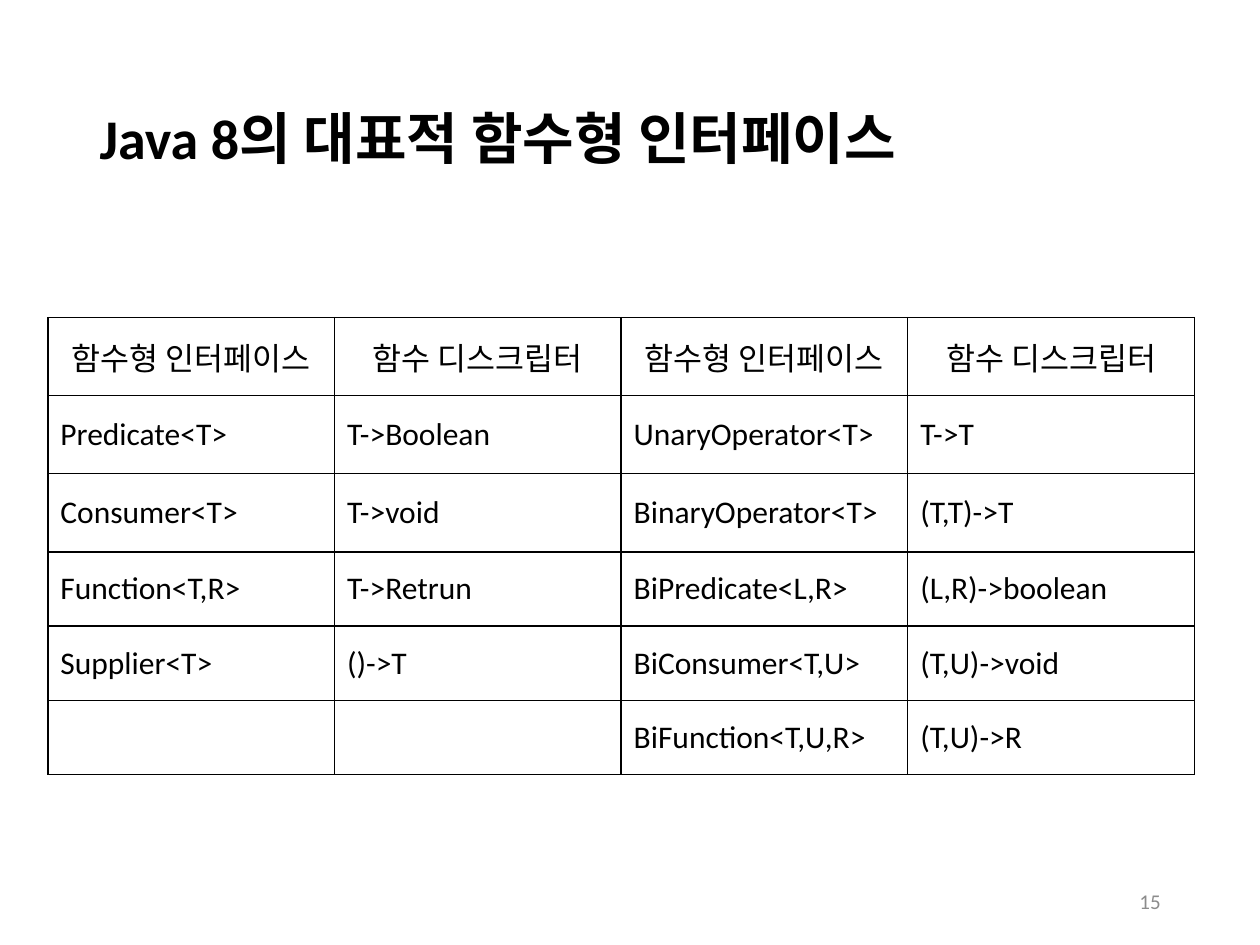
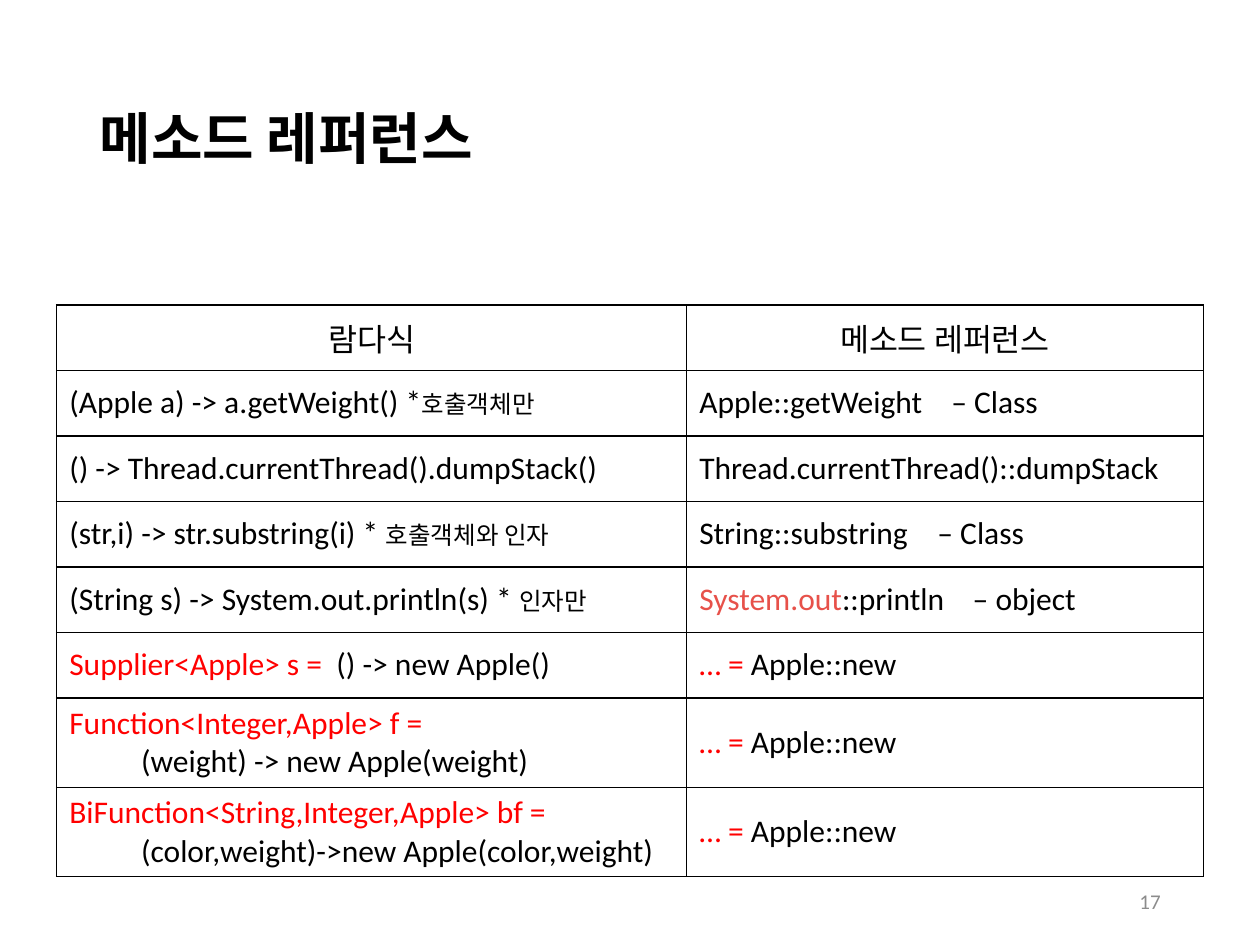
from dataclasses import dataclass, field

from lxml import etree
from pptx import Presentation, util as u
from pptx.dml.color import RGBColor
from pptx.enum import text
from pptx.oxml.ns import qn

COLORS = {
    "paper": "FFFFFF",
    "ink": "000000",
    "page": "8C8C8C",
    "accent": "FF0000",
    "object": "E7514A",
}
FONT = "Calibri"
FORMATS = {
    "title": {"size": u.Pt(32), "bold": True},
    "body": {"size": u.Pt(18), "bold": False},
    "note": {"size": u.Pt(14), "bold": False},
    "page": {"size": u.Pt(12), "bold": False},
}
ALIGN = text.PP_ALIGN
MIDDLE = text.MSO_ANCHOR.MIDDLE


@dataclass
class Run:
    words: str
    color: str = "ink"
    style: str = "body"


@dataclass
class Line:
    runs: list
    indent: float = 0
    tab: float = 0


@dataclass
class Cell:
    lines: list = field(default_factory=list)


def set_all(target, values):
    for name, value in values.items():
        setattr(target, name, value)


def box(left, top, width, height):
    return dict(zip(("left", "top", "width", "height"),
                    map(u.Inches, (left, top, width, height))))


def line(*runs, **options):
    return Line([Run(r) if isinstance(r, str) else r for r in runs], **options)


def as_cell(content):
    if isinstance(content, Cell):
        return content
    if isinstance(content, Line):
        return Cell([content])
    return Cell([line(content)] if content else [])


class Deck:
    def __init__(self):
        self.prs = Presentation()
        set_all(self.prs, {"slide_width": u.Inches(10), "slide_height": u.Inches(7.5)})
        self.slide = None

    def add_slide(self, title, page):
        self.slide = self.prs.slides.add_slide(self.prs.slide_layouts[5])
        self.add_title(title)
        self.add_page_number(page)

    def add_line(self, paragraph, content, align=ALIGN.LEFT):
        paragraph.alignment = align
        for part in content.runs:
            run = paragraph.add_run()
            run.text = part.words
            set_all(run.font, {"name": FONT, **FORMATS[part.style]})
            run.font.color.rgb = RGBColor.from_string(COLORS[part.color])
        props = paragraph._p.get_or_add_pPr()
        if content.indent:
            props.set("marL", str(u.Inches(content.indent)))
        if content.tab:
            stops = etree.SubElement(props, qn("a:tabLst"))
            etree.SubElement(stops, qn("a:tab"), pos=str(u.Inches(content.tab)), algn="l")

    def add_title(self, words):
        title = self.slide.shapes.title
        set_all(title, box(0.69, 0.4, 8.62, 1.45))
        set_all(title.text_frame, {"vertical_anchor": MIDDLE, "word_wrap": True,
                                   "auto_size": text.MSO_AUTO_SIZE.NONE})
        paragraph = title.text_frame.paragraphs[0]
        paragraph.line_spacing = 0.9
        self.add_line(paragraph, line(Run(words, style="title")))

    def add_page_number(self, page):
        number = self.slide.shapes.add_textbox(**box(7.06, 6.95, 2.25, 0.4))
        set_all(number.text_frame, {"vertical_anchor": MIDDLE, "word_wrap": True})
        self.add_line(number.text_frame.paragraphs[0],
                      line(Run(str(page), "page", "page")), ALIGN.RIGHT)

    def add_table(self, left, top, widths, heights, rows):
        frame = self.slide.shapes.add_table(
            len(heights), len(widths), **box(left, top, sum(widths), sum(heights)))
        table = frame.table
        set_all(table, {"first_row": False, "horz_banding": False})
        for column, width in zip(table.columns, widths):
            column.width = u.Inches(width)
        for row, height in zip(table.rows, heights):
            row.height = u.Inches(height)
        for r, contents in enumerate(rows):
            for c, content in enumerate(contents):
                self.fill_cell(table.cell(r, c), as_cell(content),
                               ALIGN.LEFT if r else ALIGN.CENTER)

    def fill_cell(self, cell, content, align):
        cell.vertical_anchor = MIDDLE
        cell.fill.solid()
        cell.fill.fore_color.rgb = RGBColor.from_string(COLORS["paper"])
        self.add_borders(cell)
        frame = cell.text_frame
        for i, part in enumerate(content.lines):
            self.add_line(frame.add_paragraph() if i else frame.paragraphs[0], part, align)

    def add_borders(self, cell):
        props = cell._tc.get_or_add_tcPr()
        for i, side in enumerate(("lnL", "lnR", "lnT", "lnB")):
            border = etree.Element(qn("a:" + side), w=str(u.Pt(1)))
            fill = etree.SubElement(border, qn("a:solidFill"))
            etree.SubElement(fill, qn("a:srgbClr"), val=COLORS["ink"])
            props.insert(i, border)


def add_interfaces(deck):
    deck.add_slide("Java 8의 대표적 함수형 인터페이스", 15)
    deck.add_table(0.38, 2.52, [9.1 / 4] * 4, [0.62] * 3 + [0.59] * 3, [
        ["함수형 인터페이스", "함수 디스크립터"] * 2,
        ["Predicate<T>", "T->Boolean", "UnaryOperator<T>", "T->T"],
        ["Consumer<T>", "T->void", "BinaryOperator<T>", "(T,T)->T"],
        ["Function<T,R>", "T->Retrun", "BiPredicate<L,R>", "(L,R)->boolean"],
        ["Supplier<T>", "()->T", "BiConsumer<T,U>", "(T,U)->void"],
        ["", "", "BiFunction<T,U,R>", "(T,U)->R"],
    ])


def add_references(deck):
    def noted(code, note):
        return line(code, Run(note, style="note"))

    def assigned(target, code):
        return Cell([line(Run(target, "accent")), line(code, indent=0.57)])

    constructor = line(Run("… = ", "accent"), "Apple::new")
    deck.add_slide("메소드 레퍼런스", 17)
    deck.add_table(0.45, 2.42, [5, 4.1], [0.52] * 6 + [0.71] * 2, [
        ["람다식", "메소드 레퍼런스"],
        [noted("(Apple a) -> a.getWeight() *", "호출객체만"),
         line("Apple::getWeight\t– Class", tab=2)],
        ["() -> Thread.currentThread().dumpStack()", "Thread.currentThread()::dumpStack"],
        [noted("(str,i) -> str.substring(i) * ", "호출객체와 인자"),
         line("String::substring\t– Class", tab=1.89)],
        [noted("(String s) -> System.out.println(s) * ", "인자만"),
         line(Run("System.out", "object"), "::println\t– object", tab=2.17)],
        [line(Run("Supplier<Apple> s =\t", "accent"), "() -> new Apple()", tab=2.12),
         constructor],
        [assigned("Function<Integer,Apple> f =", "(weight) -> new Apple(weight)"),
         constructor],
        [assigned("BiFunction<String,Integer,Apple> bf =",
                  "(color,weight)->new Apple(color,weight)"),
         constructor],
    ])


def main():
    deck = Deck()
    add_interfaces(deck)
    add_references(deck)
    deck.prs.save("out.pptx")


if __name__ == "__main__":
    main()
